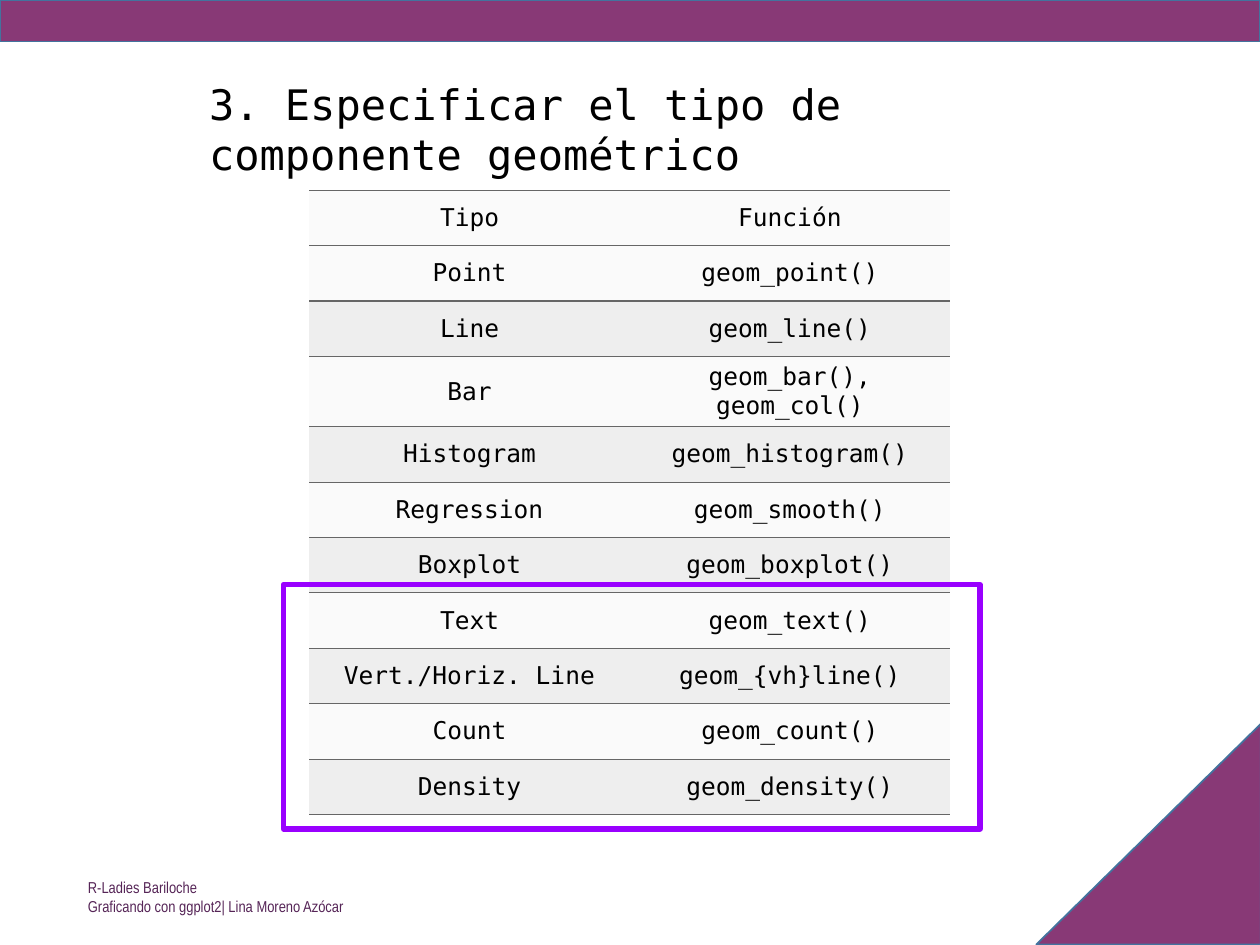
from lxml.etree import SubElement
from pptx import Presentation
from pptx.dml.color import RGBColor
from pptx.enum.shapes import MSO_SHAPE
from pptx.enum.text import MSO_ANCHOR, PP_ALIGN
from pptx.oxml.ns import qn
from pptx.util import Pt

MONO = "DejaVu Sans Mono"
PURPLE = "883976"
GEOMETRIES = [
    ("Tipo", "Función"),
    ("Point", "geom_point()"),
    ("Line", "geom_line()"),
    ("Bar", "geom_bar(), geom_col()"),
    ("Histogram", "geom_histogram()"),
    ("Regression", "geom_smooth()"),
    ("Boxplot", "geom_boxplot()"),
    ("Text", "geom_text()"),
    ("Vert./Horiz. Line", "geom_{vh}line()"),
    ("Count", "geom_count()"),
    ("Density", "geom_density()"),
]


def rgb(value):
    return RGBColor.from_string(value)


def set_font(paragraph, name, size, color):
    paragraph.font.name = name
    paragraph.font.size = Pt(size)
    paragraph.font.color.rgb = rgb(color)


def add_block(slide, kind, box, fill, line, line_width):
    block = slide.shapes.add_shape(kind, *map(Pt, box))
    block.shadow.inherit = False
    if fill:
        block.fill.solid()
        block.fill.fore_color.rgb = rgb(fill)
    else:
        block.fill.background()
    block.line.color.rgb = rgb(line)
    block.line.width = Pt(line_width)
    return block


def set_borders(cell, color, width):
    """Rule the cell above and below, with open sides."""
    properties = cell._tc.get_or_add_tcPr()
    for index, side in enumerate(("a:lnL", "a:lnR", "a:lnT", "a:lnB")):
        border = properties.makeelement(qn(side), {"w": str(Pt(width))})
        properties.insert(index, border)
        if side in ("a:lnL", "a:lnR"):
            SubElement(border, qn("a:noFill"))
        else:
            solid = SubElement(border, qn("a:solidFill"))
            SubElement(solid, qn("a:srgbClr"), val=color)


def add_geometry_table(slide, box):
    left, top, width, height = box
    table = slide.shapes.add_table(len(GEOMETRIES), 2, *map(Pt, box)).table
    table.first_row = table.horz_banding = False
    for column in table.columns:
        column.width = Pt(width / 2)
    for row_index, (row, texts) in enumerate(zip(table.rows, GEOMETRIES)):
        row.height = Pt(height / len(GEOMETRIES))
        shaded = row_index > 0 and row_index % 2 == 0
        for cell, text in zip(row.cells, texts):
            cell.text = text
            cell.vertical_anchor = MSO_ANCHOR.MIDDLE
            cell.margin_left = cell.margin_right = Pt(3.6)
            cell.margin_top = cell.margin_bottom = Pt(3.6)
            cell.fill.solid()
            cell.fill.fore_color.rgb = rgb("EEEEEE" if shaded else "FAFAFA")
            set_borders(cell, "666666", 0.75)
            paragraph = cell.text_frame.paragraphs[0]
            paragraph.alignment = PP_ALIGN.CENTER
            set_font(paragraph, MONO, 14, "000000")


def add_footer(slide, box):
    frame = slide.shapes.add_textbox(*map(Pt, box)).text_frame
    frame.word_wrap = False
    frame.text = "R-Ladies Bariloche\nGraficando con ggplot2| Lina Moreno Azócar"
    for paragraph in frame.paragraphs:
        set_font(paragraph, "Arial Narrow", 9, "562557")


def place_title(slide, box):
    title = slide.shapes.title
    title.left, title.top, title.width, title.height = map(Pt, box)
    frame = title.text_frame
    frame.text = "3. Especificar el tipo de componente geométrico"
    frame.word_wrap = True
    frame.vertical_anchor = MSO_ANCHOR.TOP
    paragraph = frame.paragraphs[0]
    paragraph.alignment = PP_ALIGN.LEFT
    set_font(paragraph, MONO, 24, "000000")


def add_decoration(slide, width, height):
    """Add the corner triangle and the band along the top."""
    corner = add_block(slide, MSO_SHAPE.RIGHT_TRIANGLE,
                       (width - 126.7, height - 127.4, 126, 128.2),
                       PURPLE, "43739E", 1)
    corner.rotation = 270
    add_block(slide, MSO_SHAPE.RECTANGLE, (0, 0, width, 23.8),
              PURPLE, "43739E", 1)


def main():
    presentation = Presentation()
    presentation.slide_width, presentation.slide_height = Pt(720), Pt(540)
    slide = presentation.slides.add_slide(presentation.slide_layouts[5])
    add_geometry_table(slide, (176.8, 108.7, 366.2, 348.5))
    add_footer(slide, (43.2, 498.2, 168.5, 28.8))
    add_decoration(slide, 720, 540)
    place_title(slide, (112.3, 41, 532, 36))
    add_block(slide, MSO_SHAPE.RECTANGLE, (162, 334, 398, 139.7),
              None, "9900FF", 3)
    presentation.save("out.pptx")


if __name__ == "__main__":
    main()
